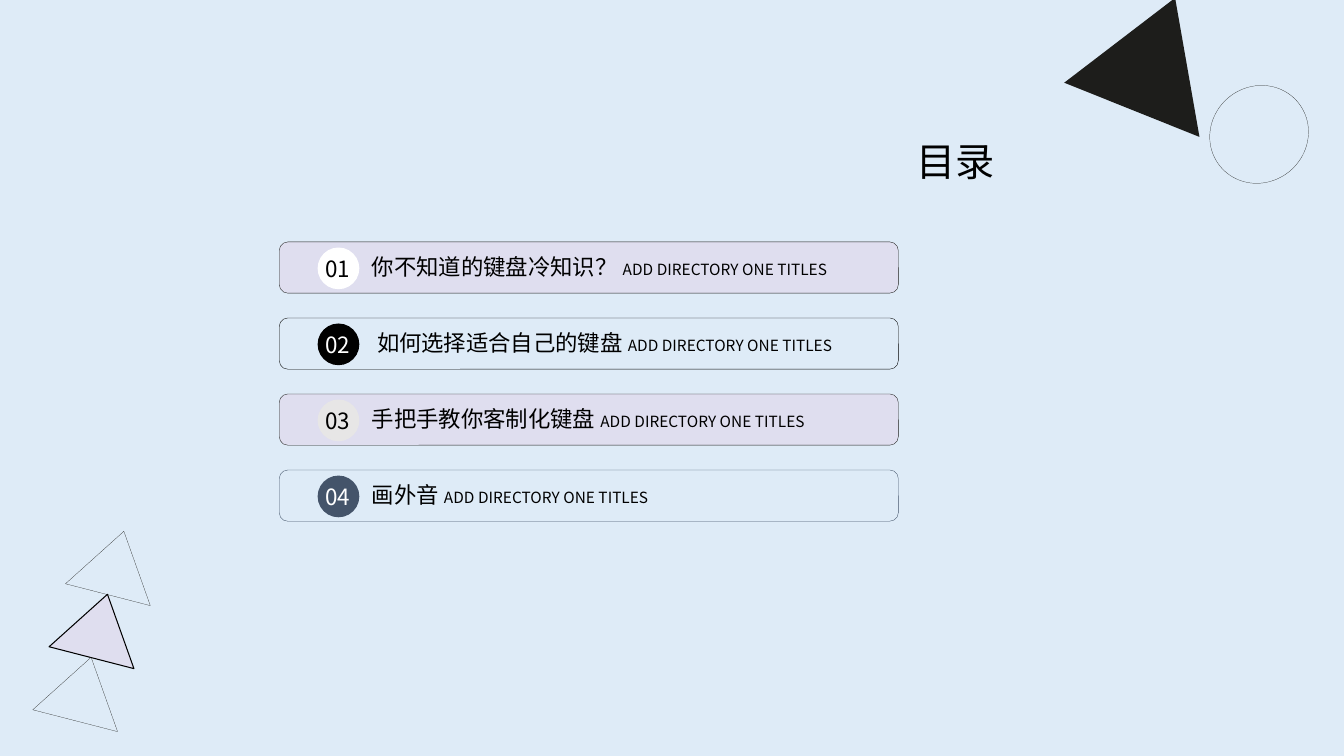
"""Builds the contents slide: four numbered cards, a heading and geometric ornaments."""
from dataclasses import dataclass
from typing import Optional

from lxml import etree
from pptx import Presentation
from pptx.dml.color import RGBColor
from pptx.enum.shapes import MSO_SHAPE
from pptx.enum.text import MSO_ANCHOR, MSO_AUTO_SIZE, PP_ALIGN
from pptx.oxml.ns import qn
from pptx.util import Pt

ELLIPSE, CARD = MSO_SHAPE.OVAL, MSO_SHAPE.ROUNDED_RECTANGLE
MIDDLE, RIGHT = MSO_ANCHOR.MIDDLE, PP_ALIGN.RIGHT
NO_FIT, GROW = MSO_AUTO_SIZE.NONE, MSO_AUTO_SIZE.SHAPE_TO_FIT_TEXT

SLIDE_WIDTH, SLIDE_HEIGHT = 12192000, 6858000
CELL = SLIDE_WIDTH // 32
FONT = "Noto Sans CJK SC"
SKY, LILAC, INK, BLACK, WHITE = "DEEBF7", "DFDEEF", "1D1D1B", "000000", "FFFFFF"
SILVER, SLATE = "E7E6E6", "44546A"
HAIRLINE = 0.13
SUBTITLE = "ADD DIRECTORY ONE TITLES"

CARD_LEFT, CARD_TOP, CARD_WIDTH, CARD_HEIGHT = 6.65, 5.76, 14.74, 1.22
CARD_PITCH = 1.81


@dataclass
class Entry:
    """One line of the contents list."""
    topic: str
    card_fill: Optional[str]
    card_line: str
    badge: str
    number_color: str
    topic_left: float
    topic_width: float


@dataclass
class Triangle:
    """An ornament given by its three corners in grid cells."""
    corners: list
    fill: Optional[str] = None
    line: Optional[str] = None
    weight: float = HAIRLINE


ENTRIES = [
    Entry("你不知道的键盘冷知识？", LILAC, INK, WHITE, BLACK, 8.62, 11.81),
    Entry("如何选择适合自己的键盘", None, BLACK, BLACK, WHITE, 8.74, 11.81),
    Entry("手把手教你客制化键盘", LILAC, INK, SILVER, BLACK, 8.62, 11.28),
    Entry("画外音", None, SLATE, SLATE, WHITE, 8.62, 7.54),
]

STACK_CORNERS = [(1.56, 13.9), (2.95, 12.65), (3.58, 14.42)]
STACK_STEP = (-0.39, 1.5)
STACK_STYLES = [(None, INK, HAIRLINE), (LILAC, BLACK, 0.75), (None, INK, HAIRLINE)]
TRIANGLES = [
    Triangle([(x + i * STACK_STEP[0], y + i * STACK_STEP[1]) for x, y in STACK_CORNERS], *style)
    for i, style in enumerate(STACK_STYLES)
] + [Triangle([(25.34, 1.97), (27.98, -0.05), (28.56, 3.26)], fill=INK)]


def cells(*counts: float) -> list:
    """Turn grid cells into slide units."""
    return [round(count * CELL) for count in counts]


def color(hex_code: str) -> RGBColor:
    """Read a hex string as a colour."""
    return RGBColor.from_string(hex_code)


def paint(shape, fill: Optional[str], line: Optional[str], weight: float) -> None:
    """Set fill and outline and drop the shadow."""
    shape.shadow.inherit = False
    if fill:
        shape.fill.solid()
        shape.fill.fore_color.rgb = color(fill)
    else:
        shape.fill.background()
    if line:
        shape.line.color.rgb = color(line)
        shape.line.width = Pt(weight)
    else:
        shape.line.fill.background()


def set_font(paragraph, size: float, hex_code: str) -> None:
    """Give a whole paragraph its typeface, size and colour."""
    font = paragraph.font
    font.size, font.bold = Pt(size), False
    font.color.rgb = color(hex_code)
    font.name = FONT
    defaults = paragraph._p.pPr.find(qn("a:defRPr"))
    etree.SubElement(defaults, qn("a:ea"), typeface=FONT)


def add_label(slide, box: list, text: str, hex_code: str):
    """Add a one-line text box and return its paragraph."""
    frame = slide.shapes.add_textbox(*cells(*box)).text_frame
    frame.word_wrap, frame.auto_size = False, GROW
    paragraph = frame.paragraphs[0]
    paragraph.add_run().text = text
    set_font(paragraph, 16, hex_code)
    return paragraph


def add_triangle(slide, triangle: Triangle) -> None:
    """Draw one triangular ornament."""
    start, *others = [cells(*corner) for corner in triangle.corners]
    builder = slide.shapes.build_freeform(*start)
    builder.add_line_segments(others, close=True)
    paint(builder.convert_to_shape(), triangle.fill, triangle.line, triangle.weight)


def add_entry(slide, position: int, entry: Entry) -> None:
    """Draw one card with its topic and numbered badge."""
    top = CARD_TOP + position * CARD_PITCH
    card = slide.shapes.add_shape(CARD, *cells(CARD_LEFT, top, CARD_WIDTH, CARD_HEIGHT))
    paint(card, entry.card_fill, entry.card_line, 0.25)

    topic = add_label(slide, [entry.topic_left, top + 0.15, entry.topic_width, 0.89],
                      entry.topic + " ", BLACK)
    subtitle = topic.add_run()
    subtitle.text = SUBTITLE
    subtitle.font.size = Pt(11)

    badge = slide.shapes.add_shape(ELLIPSE, *cells(7.58, top + 0.15, 0.96, 0.96))
    paint(badge, entry.badge, entry.badge, 1)
    add_label(slide, [7.51, top + 0.2, 1.13, 0.89], f"{position + 1:02}", entry.number_color)


def add_heading(slide, text: str) -> None:
    """Place and format the slide title."""
    heading = slide.shapes.title
    heading.left, heading.top, heading.width, heading.height = cells(14.76, 3.29, 9.17, 1.2)
    frame = heading.text_frame
    frame.text = text
    frame.auto_size, frame.vertical_anchor = NO_FIT, MIDDLE
    paragraph = frame.paragraphs[0]
    paragraph.alignment, paragraph.line_spacing = RIGHT, 0.9
    set_font(paragraph, 28, BLACK)


def main() -> None:
    """Build and save the slide."""
    deck = Presentation()
    deck.slide_width, deck.slide_height = SLIDE_WIDTH, SLIDE_HEIGHT
    slide = deck.slides.add_slide(deck.slide_layouts[5])
    slide.background.fill.solid()
    slide.background.fill.fore_color.rgb = color(SKY)

    for triangle in TRIANGLES:
        add_triangle(slide, triangle)
    ring = slide.shapes.add_shape(ELLIPSE, *cells(28.78, 2.06, 2.4, 2.28))
    ring.rotation = 319.6
    paint(ring, None, INK, HAIRLINE)

    for position, entry in enumerate(ENTRIES):
        add_entry(slide, position, entry)
    add_heading(slide, "目录")
    deck.save("out.pptx")


if __name__ == "__main__":
    main()
